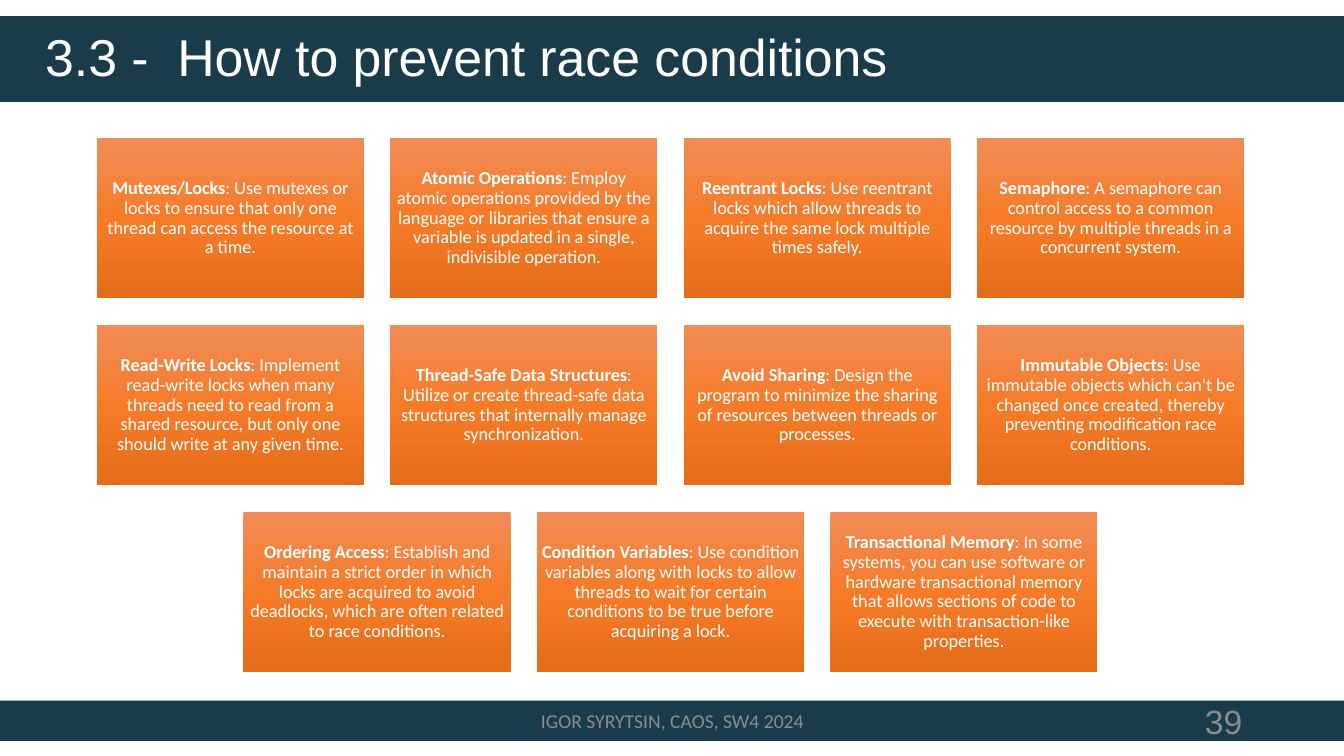
"""Build the slide on ways to prevent race conditions."""
from copy import deepcopy

from pptx import Presentation
from pptx.dml.color import RGBColor
from pptx.enum.shapes import MSO_SHAPE
from pptx.enum.text import MSO_ANCHOR, PP_ALIGN
from pptx.oxml.ns import qn
from pptx.util import Inches, Pt

NAVY = RGBColor(0x1A, 0x3B, 0x49)
WHITE = RGBColor(0xFF, 0xFF, 0xFF)
NUMBER_GRAY = RGBColor(0x8B, 0x8B, 0x8B)
FOOTER_GRAY = RGBColor(0x8C, 0x8C, 0x8C)
CARD_GRADIENT = [
    (0, RGBColor(0xF1, 0x8C, 0x57)),
    (0.5, RGBColor(0xF6, 0x7B, 0x28)),
    (1, RGBColor(0xE5, 0x6C, 0x19)),
]

CARD_LEFT, CARD_TOP = 0.96, 1.37
CARD_WIDTH, CARD_HEIGHT = 2.65, 1.59
COLUMN_STEP, ROW_STEP = 2.91, 1.855
COLUMNS = 4

METHODS = [
    ("Mutexes/Locks", "Use mutexes or locks to ensure that only one thread can access the resource at a time."),
    ("Atomic Operations", "Employ atomic operations provided by the language or libraries that ensure a variable "
                          "is updated in a single, indivisible operation."),
    ("Reentrant Locks", "Use reentrant locks which allow threads to acquire the same lock multiple times safely."),
    ("Semaphore", "A semaphore can control access to a common resource by multiple threads in a concurrent system."),
    ("Read-Write Locks", "Implement read-write locks when many threads need to read from a shared resource, "
                         "but only one should write at any given time."),
    ("Thread-Safe Data Structures", "Utilize or create thread-safe data structures that internally manage "
                                    "synchronization."),
    ("Avoid Sharing", "Design the program to minimize the sharing of resources between threads or processes."),
    ("Immutable Objects", "Use immutable objects which can't be changed once created, thereby preventing "
                          "modification race conditions."),
    ("Ordering Access", "Establish and maintain a strict order in which locks are acquired to avoid deadlocks, "
                        "which are often related to race conditions."),
    ("Condition Variables", "Use condition variables along with locks to allow threads to wait for certain "
                            "conditions to be true before acquiring a lock."),
    ("Transactional Memory", "In some systems, you can use software or hardware transactional memory that allows "
                             "sections of code to execute with transaction-like properties."),
]


def add_block(left, top, width, height):
    block = page.shapes.add_shape(
        MSO_SHAPE.RECTANGLE, Inches(left), Inches(top), Inches(width), Inches(height))
    block.shadow.inherit = False
    block.line.fill.background()
    return block


def set_font(para, name, size, color, align):
    para.alignment = align
    para.font.name = name
    para.font.size = Pt(size)
    para.font.color.rgb = color


deck = Presentation()
deck.slide_width = Inches(13.33)
deck.slide_height = Inches(7.5)
page = deck.slides.add_slide(deck.slide_layouts[6])

for top, height in [(0.16, 0.85), (6.95, 0.4)]:
    band = add_block(0, top, 13.33, height)
    band.fill.solid()
    band.fill.fore_color.rgb = NAVY

for text, left, top, width, height, font, size, color, align, spacing in [
    ("3.3 -  How to prevent race conditions", 0.35, 0.25, 11.5, 0.68, "Arial", 37, WHITE, PP_ALIGN.LEFT, 0.9),
    ("IGOR SYRYTSIN, CAOS, SW4 2024", 4.42, 6.95, 4.5, 0.4, "Calibri", 14, FOOTER_GRAY, PP_ALIGN.CENTER, 1.0),
    ("39", 9.42, 6.95, 3, 0.4, "Arial", 24, NUMBER_GRAY, PP_ALIGN.RIGHT, 1.0),
]:
    box = page.shapes.add_textbox(Inches(left), Inches(top), Inches(width), Inches(height))
    box.text_frame.word_wrap = True
    box.text_frame.vertical_anchor = MSO_ANCHOR.MIDDLE
    para = box.text_frame.paragraphs[0]
    para.text = text
    para.line_spacing = spacing
    set_font(para, font, size, color, align)

for index, (name, advice) in enumerate(METHODS):
    row, column = divmod(index, COLUMNS)
    cards_in_row = min(COLUMNS, len(METHODS) - row * COLUMNS)
    indent = (COLUMNS - cards_in_row) / 2
    card = add_block(CARD_LEFT + (column + indent) * COLUMN_STEP, CARD_TOP + row * ROW_STEP,
                     CARD_WIDTH, CARD_HEIGHT)

    card.fill.gradient()
    card.fill.gradient_angle = 270
    stop_list = card._element.spPr.find(".//" + qn("a:gsLst"))
    stop_list.insert(1, deepcopy(stop_list[0]))
    for stop, (position, color) in zip(card.fill.gradient_stops, CARD_GRADIENT):
        stop.position = position
        stop.color.rgb = color

    frame = card.text_frame
    frame.word_wrap = True
    frame.vertical_anchor = MSO_ANCHOR.MIDDLE
    frame.margin_left = frame.margin_right = frame.margin_top = frame.margin_bottom = Inches(0.05)
    para = frame.paragraphs[0]
    para.line_spacing = 0.9
    set_font(para, "Calibri", 13, WHITE, PP_ALIGN.CENTER)
    span = para.add_run()
    span.text = name
    span.font.bold = True
    para.add_run().text = ": " + advice

deck.save("out.pptx")
